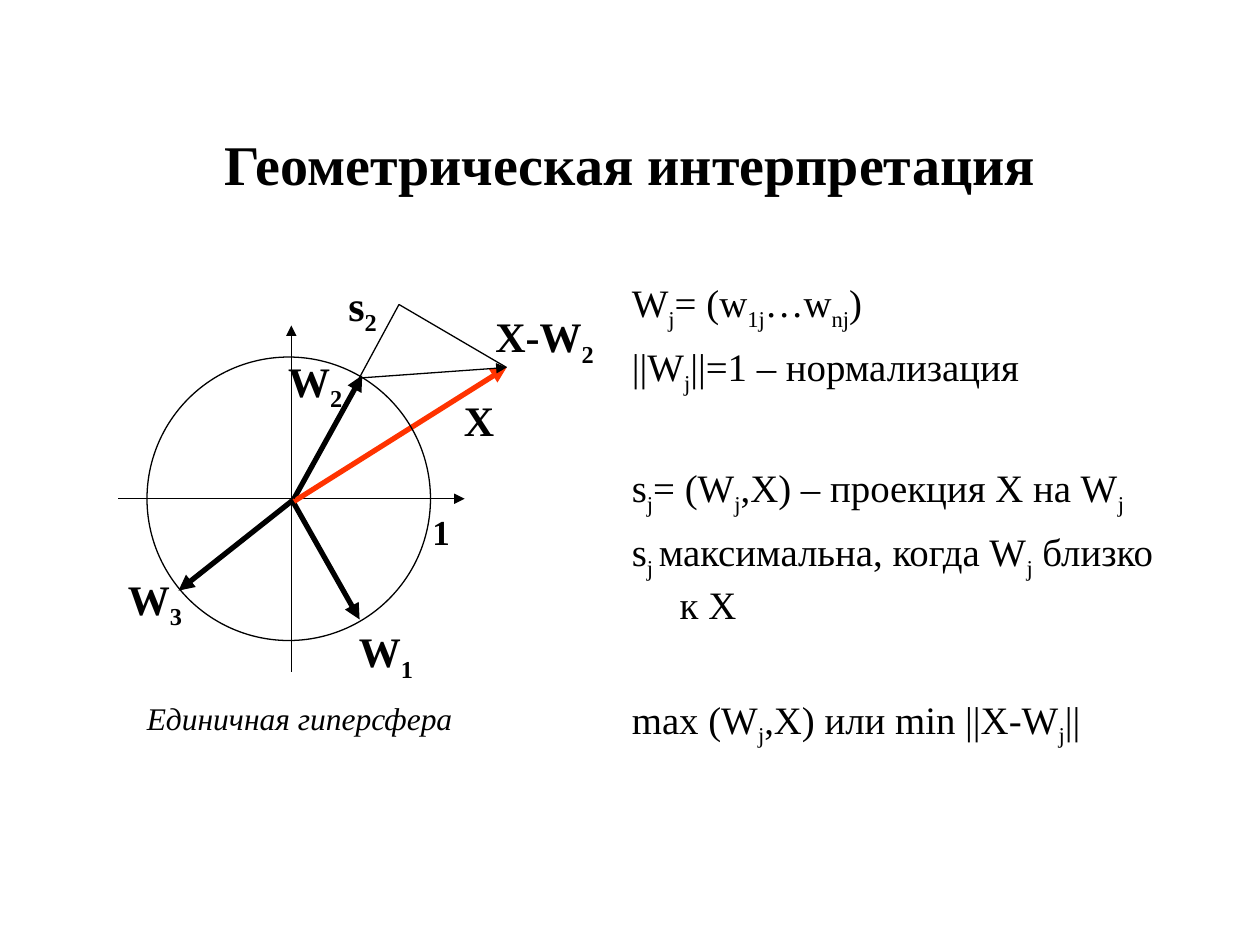
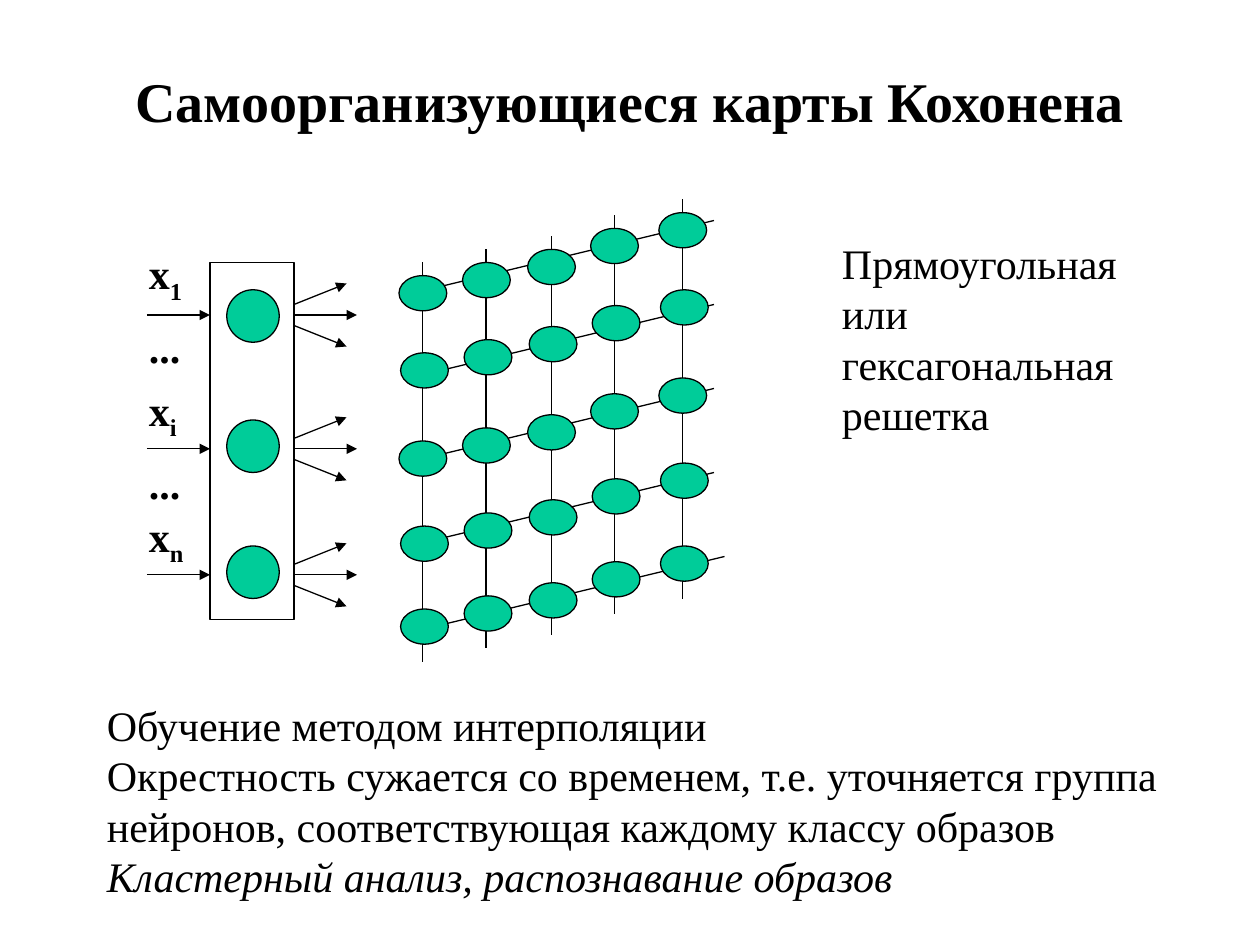
from lxml.etree import SubElement
from pptx import Presentation
from pptx.dml.color import RGBColor
from pptx.enum.shapes import MSO_CONNECTOR as Link, MSO_SHAPE as Shape
from pptx.enum.text import MSO_ANCHOR as Anchor, PP_ALIGN as Align
from pptx.oxml.ns import qn
from pptx.util import Inches, Pt

# Shared style: the slide is a grid of 120 columns by 90 rows
FONT = "Times New Roman"
BLACK, RED, GREEN = "000000", "FF3300", "00CC99"
COLS, ROWS = 120, 90
THIN, THICK = 0.75, 3
color = RGBColor.from_string

prs = Presentation()
prs.slide_width, prs.slide_height = Inches(10), Inches(7.5)
CELL = prs.slide_width / COLS


def add_line(slide, start, end, weight=THIN, ink=BLACK, arrow=False):
    ends = [round(v * CELL) for v in (*start, *end)]
    line = slide.shapes.add_connector(Link.STRAIGHT, *ends)
    line.line.width = Pt(weight)
    line.line.color.rgb = color(ink)
    if arrow:
        SubElement(line.line._get_or_add_ln(), qn("a:tailEnd"), type="triangle")
    SubElement(line._element.spPr, qn("a:effectLst"))


def add_text(slide, place, lines, size=24, bold=False, italics=(), gaps=(), hanging=0):
    """Every second piece between ~ marks is a subscript."""
    frame = slide.shapes.add_textbox(*[round(v * CELL) for v in place]).text_frame
    frame.word_wrap = True
    for i, line in enumerate(lines):
        para = frame.paragraphs[0] if i == 0 else frame.add_paragraph()
        if hanging:
            props = para._p.get_or_add_pPr()
            props.set("marL", str(Inches(hanging)))
            props.set("indent", str(-Inches(hanging)))
        if gaps and i:
            para.space_before = Pt(gaps[i - 1])
        for k, piece in enumerate(line.split("~")):
            if not piece:
                continue
            run = para.add_run()
            run.text = piece
            run.font.name, run.font.size = FONT, Pt(size)
            run.font.bold, run.font.italic = bold, i in italics
            run.font.color.rgb = color(BLACK)
            if k % 2:
                run._r.get_or_add_rPr().set("baseline", "-25000")


# Slides and titles
slides = []
for heading, top, height in [
    ("Геометрическая интерпретация", 8, 15),
    ("Самоорганизующиеся карты Кохонена", 5, 9),
]:
    slide = prs.slides.add_slide(prs.slide_layouts[5])
    title = slide.shapes.title
    title.left, title.top, title.width, title.height = [
        round(v * CELL) for v in (9, top, COLS - 18, height)]
    title.text_frame.vertical_anchor = Anchor.MIDDLE
    para = title.text_frame.paragraphs[0]
    para.alignment = Align.CENTER
    run = para.add_run()
    run.text = heading
    run.font.name, run.font.size, run.font.bold = FONT, Pt(32), True
    run.font.color.rgb = color(BLACK)
    slides.append(slide)
geometry, kohonen = slides

# Geometry: axes, weight vectors, input vector X and its projection
x_tip, projection = (48.25, 35), (38, 29)
for start, end, weight, ink, arrow in [
    ((11.25, 47.5), (44.25, 47.5), THIN, BLACK, True),
    ((27.75, 64), (27.75, 31), THIN, BLACK, True),
    ((27.75, 47.75), (17, 56.25), THICK, BLACK, True),
    ((27.75, 47.5), (34.25, 59), THICK, BLACK, True),
    ((28, 47.5), (34.5, 35.75), THICK, BLACK, True),
    ((28, 47.75), x_tip, THICK, RED, True),
    ((34.25, 36), x_tip, THIN, BLACK, True),
    ((28, 47.5), projection, THIN, BLACK, False),
    (projection, x_tip, THIN, BLACK, False),
]:
    add_line(geometry, start, end, weight, ink, arrow)

# Kohonen map: inputs and the fan of outputs of each input neuron
for row in (30, 42.75, 54.75):
    add_line(kohonen, (14, row), (20, row), arrow=True)
    for near, far, reach in ((-1, -3, 33), (0, 0, 34), (1, 3, 33)):
        add_line(kohonen, (28, row + near), (reach, row + far), arrow=True)

# Kohonen map: slanted rows and upright columns of the lattice
for row in range(5):
    left, top = 39 + (row == 4), 28 + 8 * row
    add_line(kohonen, (left, top), (left + 29, top - 7))
lattice_columns = [(40.25, 25), (46.3, 23.75), (52.5, 22.5), (58.5, 20.5), (65, 19)]
for x, top in lattice_columns:
    add_line(kohonen, (x, top), (x, top + 38))

# Outlined shapes: unit circle, input layer, neurons, lattice nodes
outlined = [(geometry, Shape.OVAL, (14, 34, 27, 27), None),
            (kohonen, Shape.RECTANGLE, (20, 25, 8, 34), None)]
outlined += [(kohonen, Shape.OVAL, (21.6, y, 5, 5), GREEN) for y in (27.6, 40, 52)]
node_rows = [(-2.25, 1.25), (-2.1, 8.6), (-2.25, 17), (-2.1, 25.1), (-2.1, 33)]
outlined += [(kohonen, Shape.OVAL, (x + dx, top + dy, 4.55, 3.35), GREEN)
             for x, top in lattice_columns for dx, dy in node_rows]
for slide, kind, place, fill in outlined:
    shape = slide.shapes.add_shape(kind, *[round(v * CELL) for v in place])
    shape.shadow.inherit = False
    shape.line.color.rgb = color(BLACK)
    shape.line.width = Pt(THIN)
    if fill:
        shape.fill.solid()
        shape.fill.fore_color.rgb = color(fill)
    else:
        shape.fill.background()

# Bold labels of both diagrams
for slide, label, x, y, width, size in [
    (geometry, "W~1~", 33, 59, 8, 24),
    (geometry, "W~3~", 11, 54, 8, 24),
    (geometry, "W~2~", 26.25, 33.25, 8, 24),
    (geometry, "X", 43, 37, 7, 24),
    (geometry, "s~2~", 32, 26, 8, 24),
    (geometry, "X-W~2~", 46, 29, 12, 24),
    (geometry, "1", 40, 48, 5, 20),
    (kohonen, "x~1~", 13, 23, 7, 24),
    (kohonen, "...", 13, 30, 8, 24),
    (kohonen, "x~i~", 13, 36, 7, 24),
    (kohonen, "...", 13, 43, 8, 24),
    (kohonen, "x~n~", 13, 48, 7, 24),
]:
    add_text(slide, (x, y, width, 6), [label], size, bold=True)

# Geometry: caption and formulas
add_text(geometry, (12.8, 66, 34, 5), ["Единичная гиперсфера"], 18, italics=[0])
add_text(geometry, (59, 26, 54, 48), [
    "W~j~= (w~1j~…w~nj~)",
    "||W~j~||=1 – нормализация",
    "s~j~= (W~j~,X) – проекция X на W~j~",
    "s~j ~максимальна, когда W~j~ близко к X",
    "max (W~j~,X) или min ||X-W~j~||",
], 22.2, gaps=[6, 39, 6, 39], hanging=0.38)

# Kohonen map: notes
add_text(kohonen, (79, 22, 32, 20), ["Прямоугольная или гексагональная решетка"])
add_text(kohonen, (9, 66, 107, 20), [
    "Обучение методом интерполяции",
    "Окрестность сужается со временем, т.е. уточняется группа нейронов, "
    "соответствующая каждому классу образов",
    "Кластерный анализ, распознавание образов",
], italics=[2])

prs.save("out.pptx")
